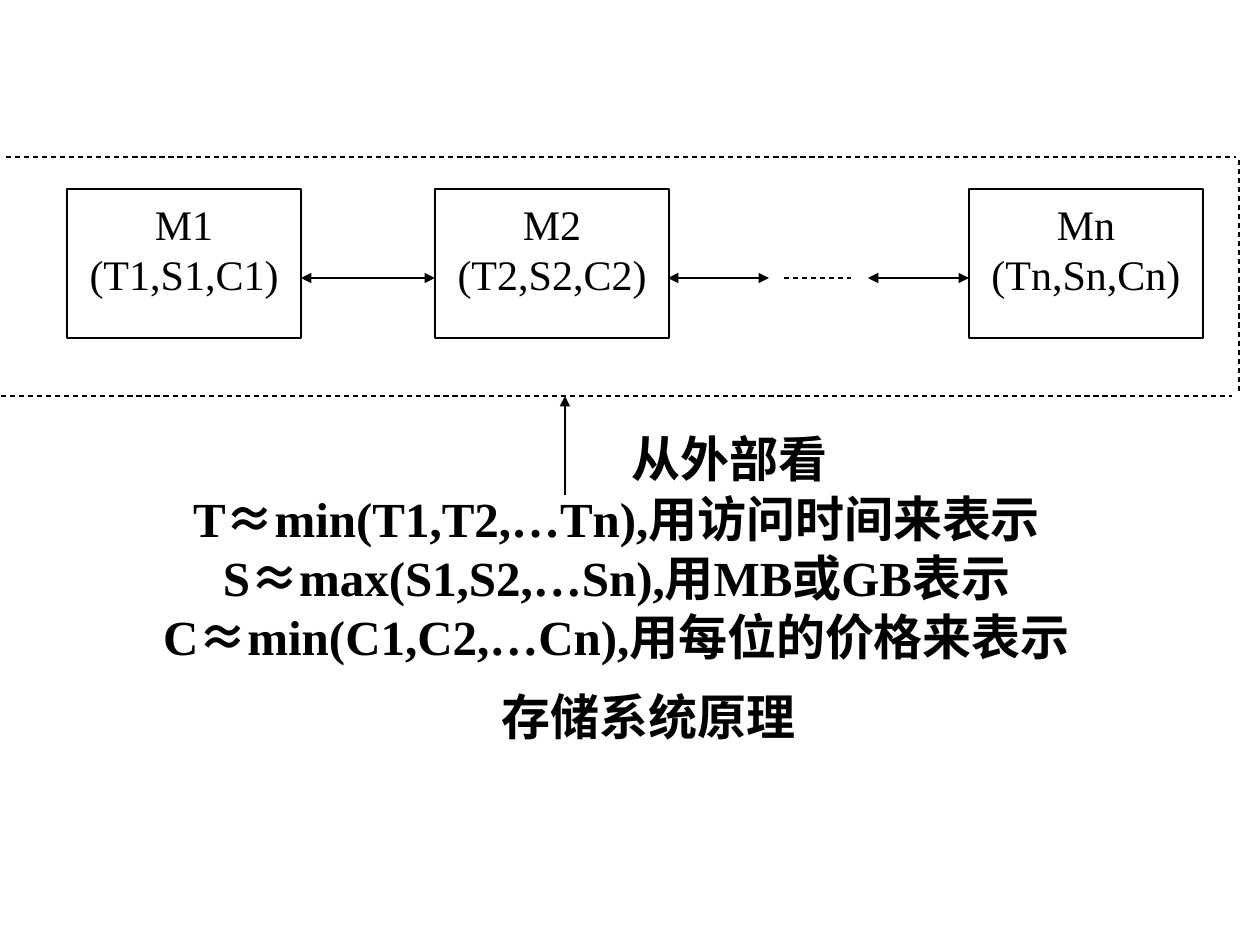
from lxml import etree
from pptx import Presentation
from pptx.dml.color import RGBColor
from pptx.enum.dml import MSO_LINE
from pptx.enum.shapes import MSO_CONNECTOR, MSO_SHAPE
from pptx.enum.text import MSO_ANCHOR, PP_ALIGN
from pptx.oxml.ns import qn
from pptx.util import Pt

PX = 914400 // 126
STRAIGHT, RECTANGLE = MSO_CONNECTOR.STRAIGHT, MSO_SHAPE.RECTANGLE
DASH, TOP = MSO_LINE.DASH, MSO_ANCHOR.TOP
CENTER, JUSTIFY = PP_ALIGN.CENTER, PP_ALIGN.JUSTIFY
SERIF, CJK = "Times New Roman", "Noto Sans CJK SC"
BLACK, WHITE = "000000", "FFFFFF"

MEMORIES = [
    (67, "M1", "(T1,S1,C1)"),
    (435, "M2", "(T2,S2,C2)"),
    (969, "Mn", "(Tn,Sn,Cn)"),
]
MEMORY_TOP, MEMORY_WIDTH, MEMORY_HEIGHT = 189, 234, 149
LINK_Y = 278
LINKS = [(301, 435), (668, 769), (868, 969)]
DASHES = [
    (784, LINK_Y, 851, LINK_Y),
    (6, 157, 1236, 157),
    (1, 396, 1232, 396),
    (1239, 160, 1239, 394),
]
POINTER = (565, 495, 565, 396)
FORMULAS = [
    ("T", "min(T1,T2,…Tn),用访问时间来表示"),
    ("S", "max(S1,S2,…Sn),用MB或GB表示"),
    ("C", "min(C1,C2,…Cn),用每位的价格来表示"),
]
TEXTS = [
    ((86, 477, 1061, 223), 11, CENTER,
     [[(name, SERIF), ("≈", CJK), (rule, SERIF)] for name, rule in FORMULAS]),
    ((619, 423, 479, 66), 5, JUSTIFY, [[("从外部看", SERIF)]]),
    ((281, 675, 735, 92), 11, CENTER, [[("存储系统原理", CJK)]]),
]


def color(value):
    return RGBColor.from_string(value)


def scaled(*lengths):
    return [length * PX for length in lengths]


def write(box, paragraphs, size, spacing, align, inset, bold=False):
    frame = box.text_frame
    frame.word_wrap = True
    frame.vertical_anchor = TOP
    frame.margin_top = inset * PX
    for index, runs in enumerate(paragraphs):
        para = frame.add_paragraph() if index else frame.paragraphs[0]
        para.alignment = align
        para.line_spacing = Pt(spacing)
        for text, font in runs:
            span = para.add_run()
            span.text = text
            span.font.name = font
            span.font.size = Pt(size)
            span.font.bold = bold
            span.font.color.rgb = color(BLACK)
            east_asian = etree.SubElement(span.font._element, qn("a:ea"))
            east_asian.set("typeface", CJK)


def draw_line(page, points, dashed=False, arrows=()):
    connector = page.shapes.add_connector(STRAIGHT, *scaled(*points))
    connector.line.color.rgb = color(BLACK)
    connector.line.width = Pt(0.75)
    if dashed:
        connector.line.dash_style = DASH
    outline = connector.line._get_or_add_ln()
    for end in arrows:
        etree.SubElement(outline, qn(f"a:{end}")).set("type", "triangle")
    etree.SubElement(connector._element.spPr, qn("a:effectLst"))


def main():
    deck = Presentation()
    deck.slide_width, deck.slide_height = scaled(1260, 945)
    page = deck.slides.add_slide(deck.slide_layouts[6])

    for left, name, values in MEMORIES:
        box = page.shapes.add_shape(
            RECTANGLE, *scaled(left, MEMORY_TOP, MEMORY_WIDTH, MEMORY_HEIGHT))
        box.shadow.inherit = False
        box.fill.solid()
        box.fill.fore_color.rgb = color(WHITE)
        box.line.color.rgb = color(BLACK)
        box.line.width = Pt(0.75)
        write(box, [[(name, SERIF)], [(values, SERIF)]], 24, 28.5, CENTER, 10)

    for start, end in LINKS:
        draw_line(page, (start, LINK_Y, end, LINK_Y),
                  arrows=("headEnd", "tailEnd"))
    for points in DASHES:
        draw_line(page, points, dashed=True)
    draw_line(page, POINTER, arrows=("tailEnd",))

    for place, inset, align, paragraphs in TEXTS:
        box = page.shapes.add_textbox(*scaled(*place))
        write(box, paragraphs, 28, 33.7, align, inset, bold=True)

    deck.save("out.pptx")


if __name__ == "__main__":
    main()
